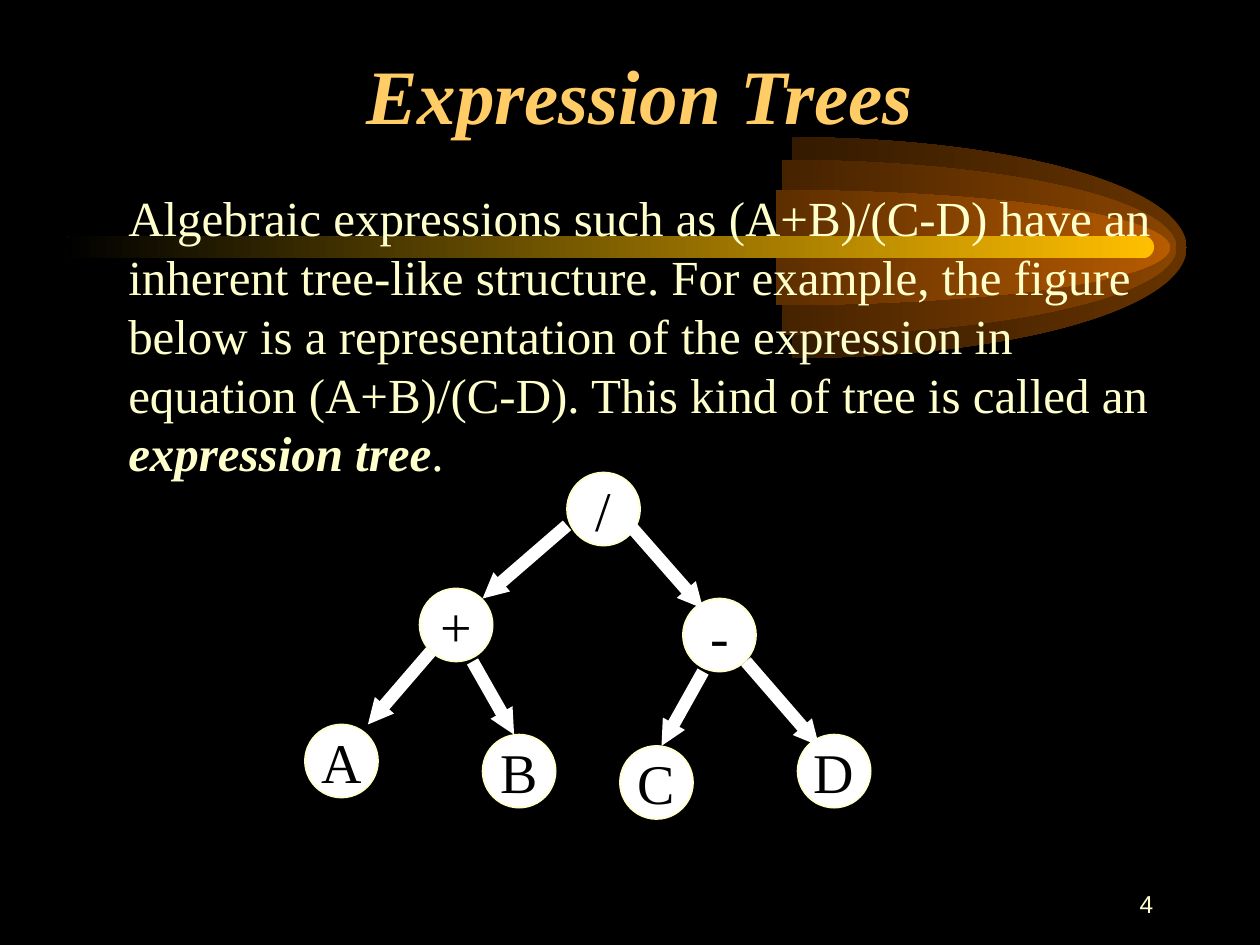
from lxml.etree import SubElement
from pptx import Presentation
from pptx.dml.color import RGBColor
from pptx.enum.shapes import MSO_CONNECTOR, MSO_SHAPE
from pptx.enum.text import MSO_ANCHOR, PP_ALIGN
from pptx.oxml.ns import qn
from pptx.util import Inches, Pt

TITLE = "Expression Trees"
BODY = [
    ("Algebraic expressions such as (A+B)/(C-D) have an inherent tree-like structure. "
     "For example, the figure below is a representation of the expression in equation "
     "(A+B)/(C-D). This kind of tree is called an ", {}),
    ("expression tree", {"bold": True, "italic": True}),
    (". ", {}),
]
PAGE_NUMBER = "4"
NODES = [
    ("/", 4.5, 3.75), ("-", 5.42, 4.75), ("+", 3.33, 4.67), ("C", 4.92, 5.92),
    ("B", 3.83, 5.83), ("D", 6.33, 5.83), ("A", 2.42, 5.75),
]
ARROWS = [
    (4.5, 4.17, 3.83, 4.75), (3.42, 5.17, 2.92, 5.75), (3.75, 5.25, 4.08, 5.83),
    (5.58, 5.33, 5.25, 5.92), (5, 4.17, 5.58, 4.83), (5.92, 5.25, 6.5, 5.92),
]
COMET = [
    (MSO_SHAPE.ARC, (3.16, 1.09, 6.26, 1.75), (162, 54), ("663300", "000000")),
    (MSO_SHAPE.ARC, (3.08, 1.27, 6.26, 1.39), (162, 54), ("894400", "000000")),
    (MSO_SHAPE.ARC, (3.03, 1.51, 6.26, 0.91), (162, 54), ("B75B00", "000000")),
    (MSO_SHAPE.ROUNDED_RECTANGLE, (0.5, 1.87, 8.66, 0.18), (0.5,), ("FFBF00", "000000")),
]
NODE_SIZE = 0.58

THEME = {
    "background": "000000", "node": "FFFFFF", "outline": "FFFFCC", "arrow": "FFFFFF",
    "outline_width": 1, "arrow_width": 7.25,
    "title": {"name": "Times New Roman", "size": 44, "color": "FFCC66", "bold": True, "italic": True},
    "body": {"name": "Times New Roman", "size": 28, "color": "FFFFCC"},
    "label": {"name": "Times New Roman", "size": 32, "color": "000000"},
    "number": {"name": "Arial", "size": 14, "color": "FFFFCC"},
}


def color(value):
    return RGBColor.from_string(value)


def write(shape, spans, style, align, anchor, wrap=True):
    frame = shape.text_frame
    frame.word_wrap = wrap
    frame.vertical_anchor = anchor
    para = frame.paragraphs[0]
    para.alignment = align
    for text, extra in spans:
        span = para.add_run()
        span.text = text
        for key, value in {**THEME[style], **extra}.items():
            if key == "color":
                span.font.color.rgb = color(value)
            else:
                setattr(span.font, key, Pt(value) if key == "size" else value)


def add_text(page, place, *content):
    box = page.shapes.add_textbox(*map(Inches, place))
    write(box, *content)


def add_glow(page, kind, place, adjustments, colors):
    glow = page.shapes.add_shape(kind, *map(Inches, place))
    for index, value in enumerate(adjustments):
        glow.adjustments[index] = value
    glow.shadow.inherit = False
    glow.line.fill.background()
    glow.fill.gradient()
    glow.fill.gradient_angle = 180
    for stop, value, position in zip(glow.fill.gradient_stops, colors, (0, 1)):
        stop.color.rgb = color(value)
        stop.position = position


def add_node(page, label, left, top):
    node = page.shapes.add_shape(MSO_SHAPE.OVAL, *map(Inches, (left, top, NODE_SIZE, NODE_SIZE)))
    node.shadow.inherit = False
    node.fill.solid()
    node.fill.fore_color.rgb = color(THEME["node"])
    node.line.color.rgb = color(THEME["outline"])
    node.line.width = Pt(THEME["outline_width"])
    write(node, [(label, {})], "label", PP_ALIGN.CENTER, MSO_ANCHOR.MIDDLE, wrap=False)


def add_arrow(page, ends):
    arrow = page.shapes.add_connector(MSO_CONNECTOR.STRAIGHT, *map(Inches, ends))
    arrow.line.color.rgb = color(THEME["arrow"])
    arrow.line.width = Pt(THEME["arrow_width"])
    SubElement(arrow.line._get_or_add_ln(), qn("a:tailEnd"), type="triangle", w="sm", len="sm")
    SubElement(arrow._element.spPr, qn("a:effectLst"))


def main():
    deck = Presentation()
    deck.slide_width, deck.slide_height = Inches(10), Inches(7.5)
    page = deck.slides.add_slide(deck.slide_layouts[6])
    page.background.fill.solid()
    page.background.fill.fore_color.rgb = color(THEME["background"])
    for glow in COMET:
        add_glow(page, *glow)
    add_text(page, (0.83, 0.33, 8.5, 0.83), [(TITLE, {})], "title",
             PP_ALIGN.CENTER, MSO_ANCHOR.BOTTOM)
    for node in NODES:
        add_node(page, *node)
    for ends in ARROWS:
        add_arrow(page, ends)
    add_text(page, (0.92, 1.44, 8.33, 2.9), BODY, "body", PP_ALIGN.LEFT, MSO_ANCHOR.TOP)
    add_text(page, (7.17, 6.92, 2.08, 0.5), [(PAGE_NUMBER, {})], "number",
             PP_ALIGN.RIGHT, MSO_ANCHOR.MIDDLE)
    deck.save("out.pptx")


if __name__ == "__main__":
    main()
